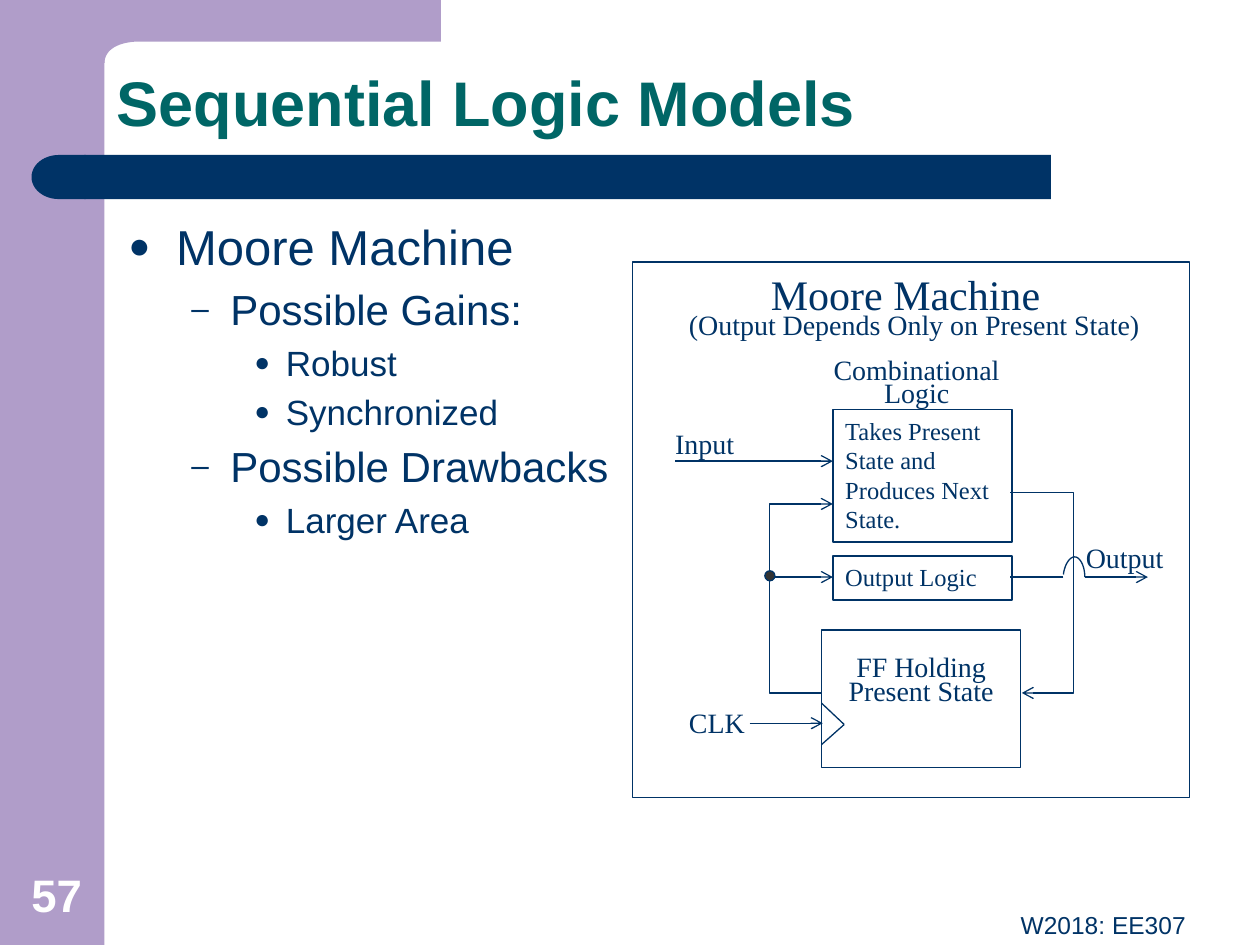
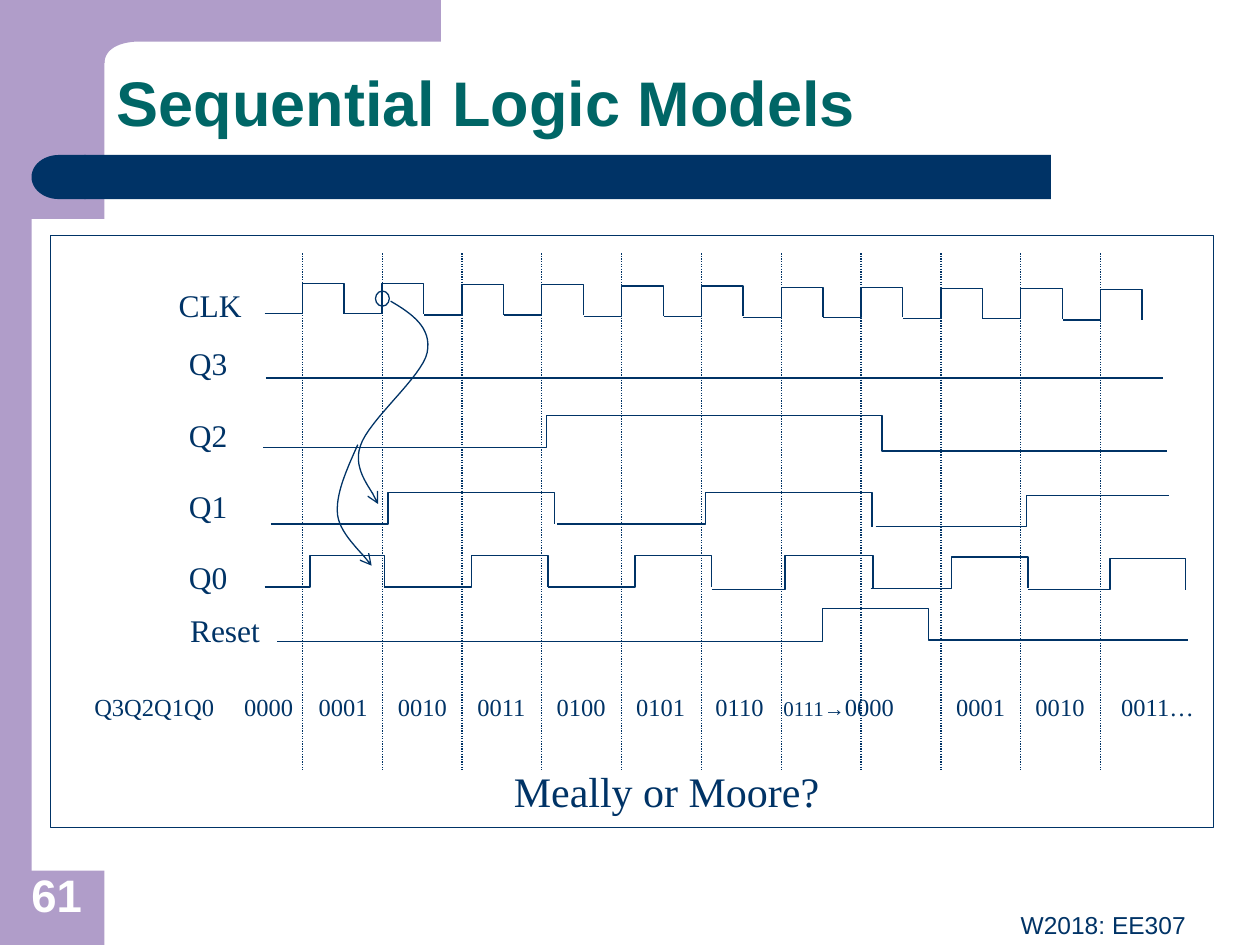
from lxml.etree import SubElement
from pptx import Presentation
from pptx.dml.color import RGBColor
from pptx.enum.dml import MSO_LINE
from pptx.enum.shapes import MSO_CONNECTOR, MSO_SHAPE
from pptx.enum.text import MSO_ANCHOR, PP_ALIGN
from pptx.oxml.ns import qn
from pptx.util import Inches, Pt

HUES = {"band": "B09DC9", "navy": "003366", "teal": "006666",
        "white": "FFFFFF", "dot": "333333"}
SANS, SERIF = "Arial", "Times New Roman"
TITLE = "Sequential Logic Models"
FOOT = "W2018: EE307"

POINTS = [
    (0, "Moore Machine"),
    (1, "Possible Gains:"),
    (2, "Robust"),
    (2, "Synchronized"),
    (1, "Possible Drawbacks"),
    (2, "Larger Area"),
]
LEVELS = [
    {"size": 28, "left": 0.38, "hang": 0.38, "mark": "●"},
    {"size": 24, "left": 0.81, "hang": 0.31, "mark": "–"},
    {"size": 20, "left": 1.25, "hang": 0.25, "mark": "●"},
]

MOORE_BOXES = [
    (5.02, 2.08, 4.42, 4.25, 0.75),
    (6.52, 5, 1.58, 1.09, 0.75),
    (6.61, 4.41, 1.42, 0.35, 1),
    (6.61, 3.25, 1.42, 1.05, 1),
]
MOORE_TEXT = [
    ((6.02, 2.08, 2.67, 0.5), ["Moore Machine"], 24, {}),
    ((5.37, 2.39, 4.24, 0.37), ["(Output Depends Only on Present State)"], 16, {}),
    ((6.44, 2.82, 1.67, 0.48), ["Combinational", "Logic"], 16,
     {"align": PP_ALIGN.CENTER, "gap": 0.7}),
    ((6.52, 5.18, 1.58, 0.91), ["FF Holding", "Present State"], 16,
     {"align": PP_ALIGN.CENTER, "gap": 0.7}),
    ((6.61, 4.41, 1.42, 0.35), ["Output Logic"], 14, {}),
    ((6.61, 3.25, 1.42, 1.05), ["Takes Present State and Produces Next State."], 14, {}),
    ((5.26, 3.34, 0.87, 0.37), ["Input"], 16, {}),
    ((8.52, 4.24, 0.87, 0.37), ["Output"], 16, {}),
    ((5.37, 5.55, 0.87, 0.37), ["CLK"], 16, {}),
]
MOORE_LINES = [
    ((5.36, 3.66), (6.61, 3.66), True),
    ((6.11, 4.58), (6.61, 4.58), True),
    ((8.44, 4.58), (8.02, 4.58), False),
    ((8.61, 4.58), (9.11, 4.58), True),
    ((5.95, 5.74), (6.53, 5.74), True),
    ((6.52, 5.58), (6.7, 5.75), False),
    ((6.7, 5.75), (6.52, 5.91), False),
]
MOORE_PATHS = [
    [(8.02, 3.91), (8.52, 3.91), (8.52, 5.5), (8.11, 5.5)],
    [(6.52, 5.5), (6.11, 5.5), (6.11, 4), (6.61, 4)],
]
HOP = [(8.44, 4.56), (8.45, 4.48), (8.49, 4.42), (8.53, 4.42),
       (8.57, 4.42), (8.61, 4.49), (8.61, 4.58)]

SIGNALS = [("CLK", 1.32, 2.22), ("Q3", 1.4, 2.68), ("Q2", 1.4, 3.25),
           ("Q1", 1.4, 3.82), ("Q0", 1.4, 4.38), ("Reset", 1.41, 4.8)]
CLOCKS, PERIOD = 11, 0.6335
PULSES = [
    (2.1, 2.46, 3.05, 4.66, 4.41, 4.66, 3.05),
    (3.05, 3.74, 4.35, 4.66, 4.41, 4.66, 4.35),
    (4.35, 5.04, 5.65, 4.66, 4.41, 4.66, 5.65),
    (5.65, 6.23, 6.93, 4.68, 4.41, 4.67, 7.06),
    (6.91, 7.55, 8.16, 4.67, 4.42, 4.67, 8.16),
    (8.16, 8.81, 9.41, 4.68, 4.43, 4.68, 9.41),
    (2.15, 3.08, 4.4, 4.16, 3.91, 4.16, 4.4),
    (4.42, 5.6, 6.92, 4.16, 3.91, 4.18, 6.92),
    (2.09, 4.34, 7, 3.55, 3.3, 3.58, 9.26),
    (2.2, 6.53, 7.37, 5.09, 4.83, 5.08, 9.43),
]
LAST_STEP = [(6.95, 4.18), (8.15, 4.18), (8.15, 3.93), (9.28, 3.93)]
CAUSES = [
    [(3.1, 2.39), (3.27, 2.49), (3.43, 2.6), (3.39, 2.8), (3.35, 2.99),
     (2.92, 3.34), (2.86, 3.54), (2.79, 3.74), (2.97, 3.9), (3, 4)],
    [(2.84, 3.53), (2.75, 3.73), (2.66, 3.93), (2.68, 4.09), (2.7, 4.25),
     (2.91, 4.42), (2.95, 4.49)],
]
EARLY = ["Q3Q2Q1Q0", "0000", "0001", "0010", "0011", "0100", "0101", "0110", ""]
LATE = ["0000", "0001", "0010", "0011…"]
STOPS = [1.19] + [1.78 + 0.63 * n for n in range(6)] + [5.47, 6.84, 7.47, 8.15]


def hue(name):
    return RGBColor.from_string(HUES[name])


def apply(thing, values):
    for key, value in values.items():
        setattr(thing, key, value)


def ink(line, width=0.75, arrow=False, dash=None):
    line.color.rgb = hue("navy")
    line.width = Pt(width)
    if dash:
        line.dash_style = dash
    if arrow:
        SubElement(line._get_or_add_ln(), qn("a:tailEnd"), type="arrow")


def shape(slide, kind, box, fill=None, width=None):
    item = slide.shapes.add_shape(kind, *map(Inches, box))
    paint(item, fill, width)
    return item


def paint(item, fill=None, width=None, arrow=False):
    item.shadow.inherit = False
    if fill:
        item.fill.solid()
        item.fill.fore_color.rgb = hue(fill)
    else:
        item.fill.background()
    if width:
        ink(item.line, width, arrow)
    else:
        item.line.fill.background()


def link(slide, start, end, arrow=False, dash=None):
    item = slide.shapes.add_connector(
        MSO_CONNECTOR.STRAIGHT, *map(Inches, (*start, *end)))
    ink(item.line, 0.75, arrow, dash)
    SubElement(item._element.spPr, qn("a:effectLst"))


def trace(slide, dots, fill=None, arrow=False):
    spots = [(Inches(x), Inches(y)) for x, y in dots]
    maker = slide.shapes.build_freeform(*spots[0])
    maker.add_line_segments(spots[1:], close=bool(fill))
    paint(maker.convert_to_shape(), fill, None if fill else 0.75, arrow)


def curve(knots, steps=16):
    dots = [knots[0]]
    for at in range(0, len(knots) - 1, 3):
        part = knots[at:at + 4]
        for step in range(1, steps + 1):
            t = step / steps
            mix = ((1 - t) ** 3, 3 * t * (1 - t) ** 2, 3 * t * t * (1 - t), t ** 3)
            dots.append(tuple(sum(m * k[axis] for m, k in zip(mix, part))
                              for axis in (0, 1)))
    return dots


def pulse(slide, left, rise, fall, base, top, drop, end):
    dots = [(left, base), (rise, base), (rise, top), (fall, top), (fall, drop)]
    trace(slide, dots + [(end, drop)] * (end > fall))


def write(para, words, size, face=SERIF, tint="navy", bold=False):
    run = para.add_run()
    run.text = words
    apply(run.font, {"name": face, "size": Pt(size), "bold": bold})
    run.font.color.rgb = hue(tint)


def frame(slide, box, anchor=MSO_ANCHOR.TOP):
    body = slide.shapes.add_textbox(*map(Inches, box)).text_frame
    apply(body, {"word_wrap": True, "vertical_anchor": anchor})
    return body


def text(slide, box, rows, size, align=PP_ALIGN.LEFT, gap=1.0,
         anchor=MSO_ANCHOR.TOP, **look):
    body = frame(slide, box, anchor)
    for n, words in enumerate(rows):
        para = body.add_paragraph() if n else body.paragraphs[0]
        apply(para, {"alignment": align, "line_spacing": gap})
        write(para, words, size, **look)


def bullets(slide):
    body = frame(slide, (0.92, 1.67, 8.41, 4.99))
    for n, (depth, words) in enumerate(POINTS):
        level = LEVELS[depth]
        para = body.add_paragraph() if n else body.paragraphs[0]
        para.level = depth
        props = para._p.get_or_add_pPr()
        props.set("marL", str(Inches(level["left"])))
        props.set("indent", str(-Inches(level["hang"])))
        SubElement(SubElement(props, qn("a:buClr")), qn("a:srgbClr"), val=HUES["navy"])
        SubElement(props, qn("a:buSzPct"), val="75000")
        SubElement(props, qn("a:buFont"), typeface=SANS)
        SubElement(props, qn("a:buChar"), char=level["mark"])
        if n:
            para.space_before = Pt(level["size"] * 0.2)
        write(para, words, level["size"], SANS)


def base(deck, number, cover=None):
    slide = deck.slides.add_slide(deck.slide_layouts[6])
    shape(slide, MSO_SHAPE.RECTANGLE, (0, 0, 0.83, 7.5), "band")
    bend = curve([(1.11, 0.33), (0.95, 0.33), (0.83, 0.39), (0.83, 0.5)])
    trace(slide, [(3.5, 0), (3.5, 0.33), *bend, (0.5, 0.5), (0.5, 0)], "band")
    shape(slide, MSO_SHAPE.RECTANGLE, (0.67, 1.23, 7.67, 0.35), "navy")
    cap = shape(slide, MSO_SHAPE.FLOWCHART_DELAY, (0.25, 1.23, 0.43, 0.35), "navy")
    cap.rotation = 180
    if cover:
        shape(slide, MSO_SHAPE.RECTANGLE, cover, "white")
    text(slide, (0.83, 0.33, 8.67, 0.83), [TITLE], 36, gap=0.9,
         anchor=MSO_ANCHOR.BOTTOM, face=SANS, tint="teal", bold=True)
    text(slide, (0, 6.83, 0.9, 0.53), [str(number)], 26, PP_ALIGN.CENTER,
         anchor=MSO_ANCHOR.BOTTOM, face=SANS, tint="white", bold=True)
    text(slide, (3.42, 7.17, 6.09, 0.52), [FOOT], 14, PP_ALIGN.RIGHT, face=SANS)
    return slide


def moore(deck):
    slide = base(deck, 57)
    bullets(slide)
    for *box, width in MOORE_BOXES:
        shape(slide, MSO_SHAPE.RECTANGLE, box, width=width)
    for start, end, arrow in MOORE_LINES:
        link(slide, start, end, arrow)
    for dots in MOORE_PATHS:
        trace(slide, dots, arrow=True)
    trace(slide, curve(HOP))
    shape(slide, MSO_SHAPE.OVAL, (6.07, 4.53, 0.08, 0.08), "dot", 0.75)
    for box, rows, size, look in MOORE_TEXT:
        text(slide, box, rows, size, **look)


def states(slide):
    para = frame(slide, (0.65, 5.44, 9.07, 0.33)).paragraphs[0]
    tabs = SubElement(para._p.get_or_add_pPr(), qn("a:tabLst"))
    for stop in STOPS:
        SubElement(tabs, qn("a:tab"), pos=str(Inches(stop)), algn="l")
    write(para, "\t".join(EARLY), 14)
    write(para, "0111→", 12)
    write(para, "\t".join(LATE), 14)


def timing(deck):
    slide = base(deck, 61, cover=(0.25, 1.74, 0.92, 5.17))
    shape(slide, MSO_SHAPE.RECTANGLE, (0.4, 1.87, 9.23, 4.7), width=0.75)
    for n in range(CLOCKS):
        shift = n * PERIOD
        edge, left, top = 2.4 + shift, 2.1 + shift, 2.25 + 0.01 * (n // 2)
        link(slide, (edge, 2.01), (edge, 6.11), dash=MSO_LINE.ROUND_DOT)
        pulse(slide, left, edge, left + 0.63, top + 0.24, top, top + 0.24, left + 0.63)
    for wave in PULSES:
        pulse(slide, *wave)
    trace(slide, LAST_STEP)
    link(slide, (2.11, 3), (9.23, 3))
    shape(slide, MSO_SHAPE.OVAL, (2.98, 2.31, 0.11, 0.12), width=0.75)
    for knots in CAUSES:
        trace(slide, curve(knots), arrow=True)
    for name, left, top in SIGNALS:
        text(slide, (left, top, 1.01, 0.4), [name], 18)
    states(slide)
    text(slide, (3.98, 6.03, 2.91, 0.5), ["Meally or Moore?"], 24)


def main():
    deck = Presentation()
    apply(deck, {"slide_width": Inches(10), "slide_height": Inches(7.5)})
    moore(deck)
    timing(deck)
    deck.save("out.pptx")


if __name__ == "__main__":
    main()
